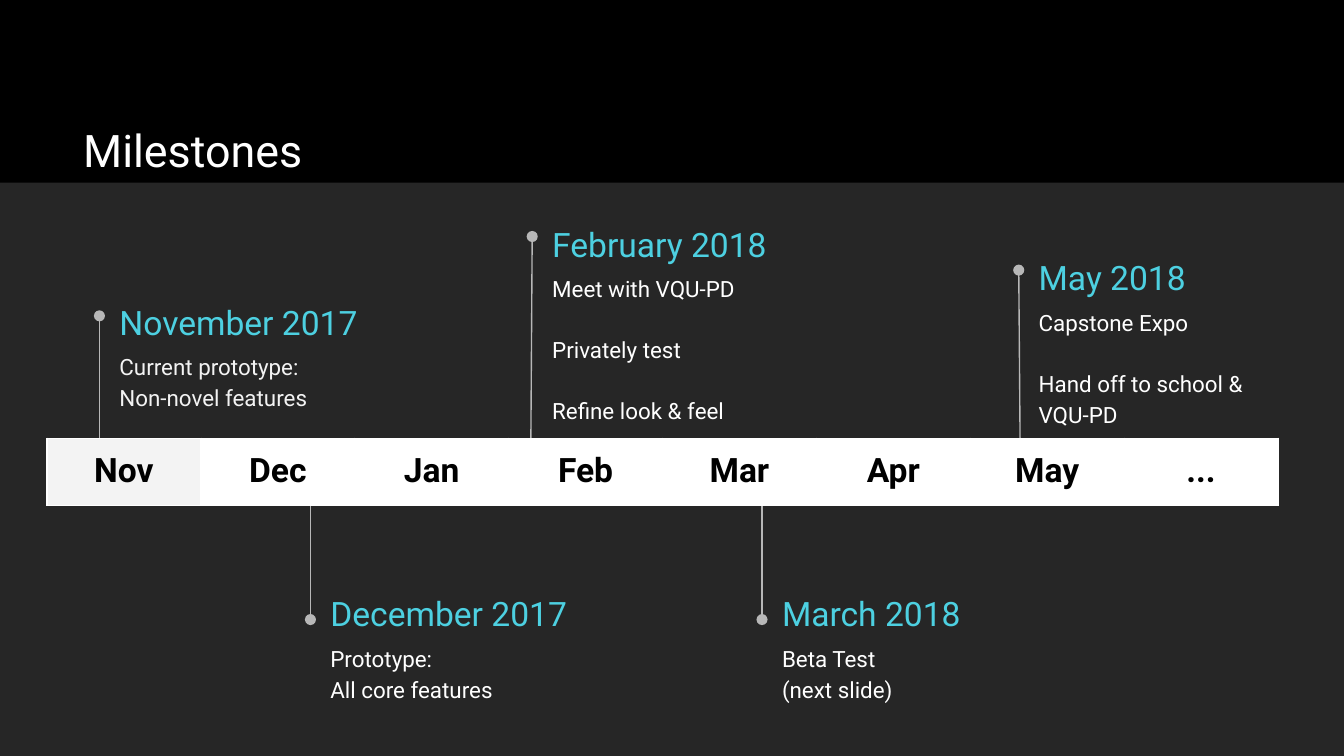
import pptx
import pptx.util
import pptx.dml.color
import pptx.enum.shapes
import pptx.enum.text
import pptx.oxml
import pptx.oxml.ns

Inches = pptx.util.Inches
Pt = pptx.util.Pt
NS = pptx.oxml.ns.nsdecls("a")


def hue(code):
    return pptx.dml.color.RGBColor.from_string(code)


class Deck:
    font = "Roboto"
    white = "FFFFFF"
    pale = "F3F3F3"
    cyan = "4DD0E1"
    gray = "B7B7B7"
    black = "000000"

    def __init__(self, show):
        self.slide = show.slides.add_slide(show.slide_layouts[6])
        self.shapes = self.slide.shapes
        self.ground("262626")

    def ground(self, color):
        fill = self.slide.background.fill
        fill.solid()
        fill.fore_color.rgb = hue(color)

    def band(self, x, y, w, h, color):
        kind = pptx.enum.shapes.MSO_SHAPE.RECTANGLE
        shape = self.shapes.add_shape(kind, Inches(x), Inches(y), Inches(w), Inches(h))
        shape.shadow.inherit = False
        shape.fill.solid()
        shape.fill.fore_color.rgb = hue(color)
        shape.line.fill.background()

    def run(self, para, text, size, color, bold=False):
        run = para.add_run()
        run.text = text
        run.font.name = self.font
        run.font.size = Pt(size)
        run.font.bold = bold
        run.font.color.rgb = hue(color)

    def frame(self, x, y, w, h):
        frame = self.shapes.add_textbox(Inches(x), Inches(y), Inches(w), Inches(h)).text_frame
        frame.word_wrap = True
        frame.margin_left = frame.margin_right = Inches(0.1)
        frame.margin_top = frame.margin_bottom = Inches(0.1)
        return frame

    def title(self, x, y, w, h, text, size, color, middle=False):
        frame = self.frame(x, y, w, h)
        if middle:
            frame.vertical_anchor = pptx.enum.text.MSO_ANCHOR.MIDDLE
        self.run(frame.paragraphs[0], text, size, color)

    def body(self, x, y, w, h, paras, color):
        frame = self.frame(x, y, w, h)
        for i, lines in enumerate(paras):
            para = frame.add_paragraph() if i else frame.paragraphs[0]
            para.line_spacing = 1.15
            para.space_before = Pt(16 if i else 0)
            para.space_after = Pt(0)
            for j, line in enumerate(lines):
                if j:
                    para.add_line_break()
                self.run(para, line, 12, color)
        para.space_after = Pt(16)

    def pin(self, x, y, foot, end):
        kind = pptx.enum.shapes.MSO_CONNECTOR.STRAIGHT
        line = self.shapes.add_connector(kind, Inches(foot), Inches(end), Inches(x), Inches(y))
        line.line.color.rgb = hue(self.gray)
        line.line.width = Pt(0.75)
        edge = line.line._get_or_add_ln()
        edge.append(pptx.oxml.parse_xml(f'<a:tailEnd {NS} type="oval"/>'))
        line._element.spPr.append(pptx.oxml.parse_xml(f"<a:effectLst {NS}/>"))

    def event(self, foot, start, x, y, rise, name, paras, color, tall=0.63):
        self.pin(x, y, foot, start)
        left, top = x + 0.05, y - rise
        self.title(left, top, 1.98, 0.43, name, 18, self.cyan, True)
        self.body(left, top + 0.32, 1.98, tall, paras, color)

    def border(self, cell):
        props = cell._tc.get_or_add_tcPr()
        for i, side in enumerate("LRTB"):
            edge = pptx.oxml.parse_xml(
                f'<a:ln{side} {NS} w="{Pt(0.75)}"><a:solidFill>'
                f'<a:srgbClr val="{self.white}"/></a:solidFill></a:ln{side}>'
            )
            props.insert(i, edge)

    def months(self, x, y, w, h, names):
        table = self.shapes.add_table(1, len(names), Inches(x), Inches(y), Inches(w), Inches(h)).table
        table.first_row = table.horz_banding = False
        for i, name in enumerate(names):
            table.columns[i].width = Inches(w / len(names))
            cell = table.cell(0, i)
            cell.margin_left = cell.margin_right = Inches(0.1)
            cell.margin_top = cell.margin_bottom = Inches(0.1)
            cell.fill.solid()
            cell.fill.fore_color.rgb = hue(self.white if i else self.pale)
            para = cell.text_frame.paragraphs[0]
            para.alignment = pptx.enum.text.PP_ALIGN.CENTER
            self.run(para, name, 18, self.black, True)
            self.border(cell)


def main():
    show = pptx.Presentation()
    show.slide_width = Inches(10)
    show.slide_height = Inches(10 * 9 / 16)
    deck = Deck(show)
    deck.band(0, -0.08, 10, 1.44, deck.black)
    deck.title(0.52, 0.81, 8.99, 0.58, "Milestones", 24, deck.white)

    top, base = 3.26, 3.69
    over, under = 0.16, 0.26
    deck.event(0.74, top, 0.74, 2.35, 0.17, "November 2017",
               [["Current prototype:", "Non-novel features"]], deck.pale)
    deck.event(2.31, base, 2.31, 4.61, under, "December 2017",
               [["Prototype:", "All core features"]], deck.white)
    deck.event(3.95, top, 3.96, 1.76, over, "February 2018",
               [["Meet with VQU-PD"], ["Privately test"], ["Refine look & feel"]], deck.white)
    deck.event(5.67, base, 5.67, 4.61, under, "March 2018",
               [["Beta Test", "(next slide)"]], deck.white)
    deck.event(7.59, top, 7.58, 2.01, over, "May 2018",
               [["Capstone Expo"], ["Hand off to school & VQU-PD"]], deck.white, 0.97)
    deck.months(0.35, top, 9.16, 0.42,
                ["Nov", "Dec", "Jan", "Feb", "Mar", "Apr", "May", "..."])
    show.save("out.pptx")


if __name__ == "__main__":
    main()
